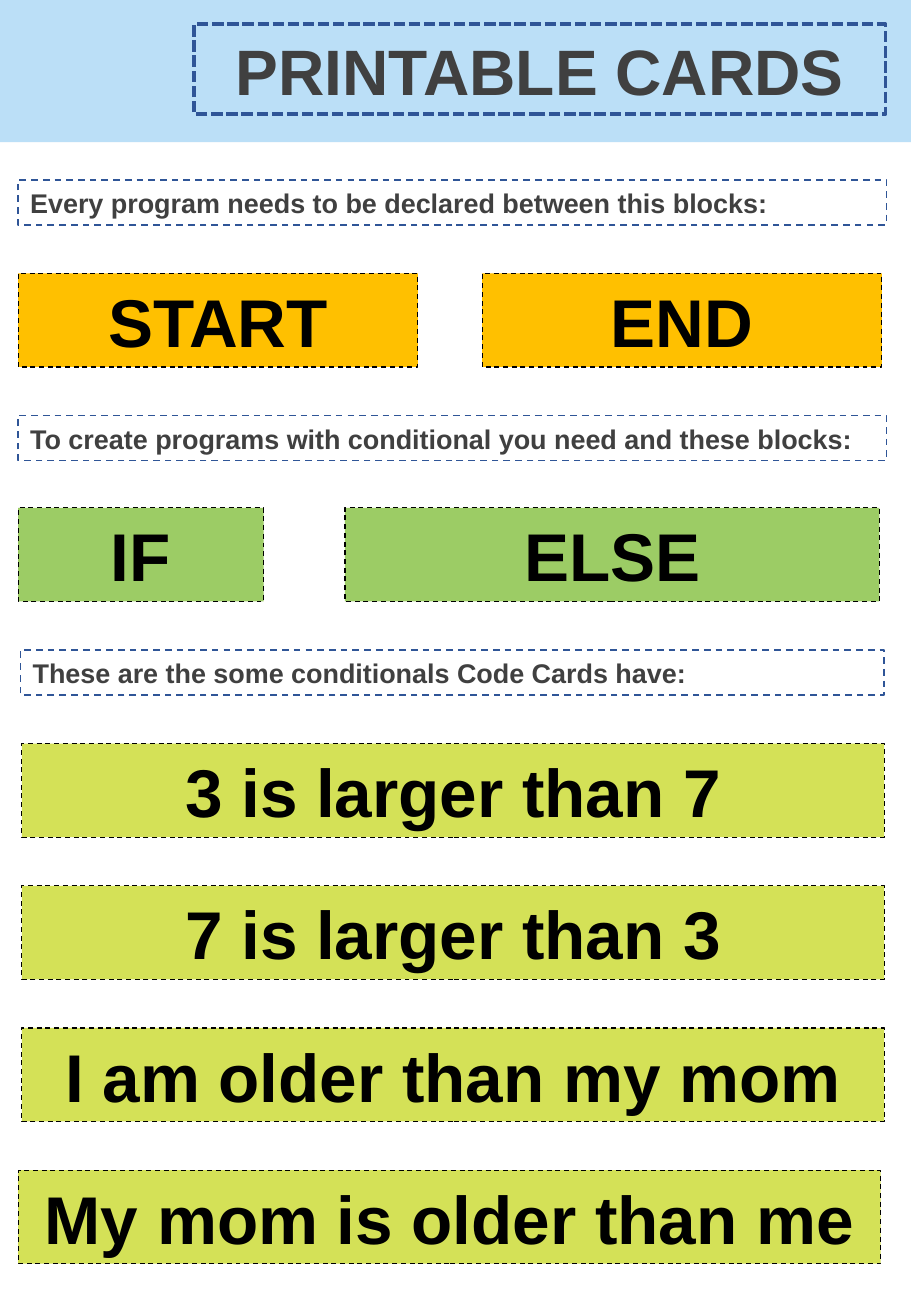
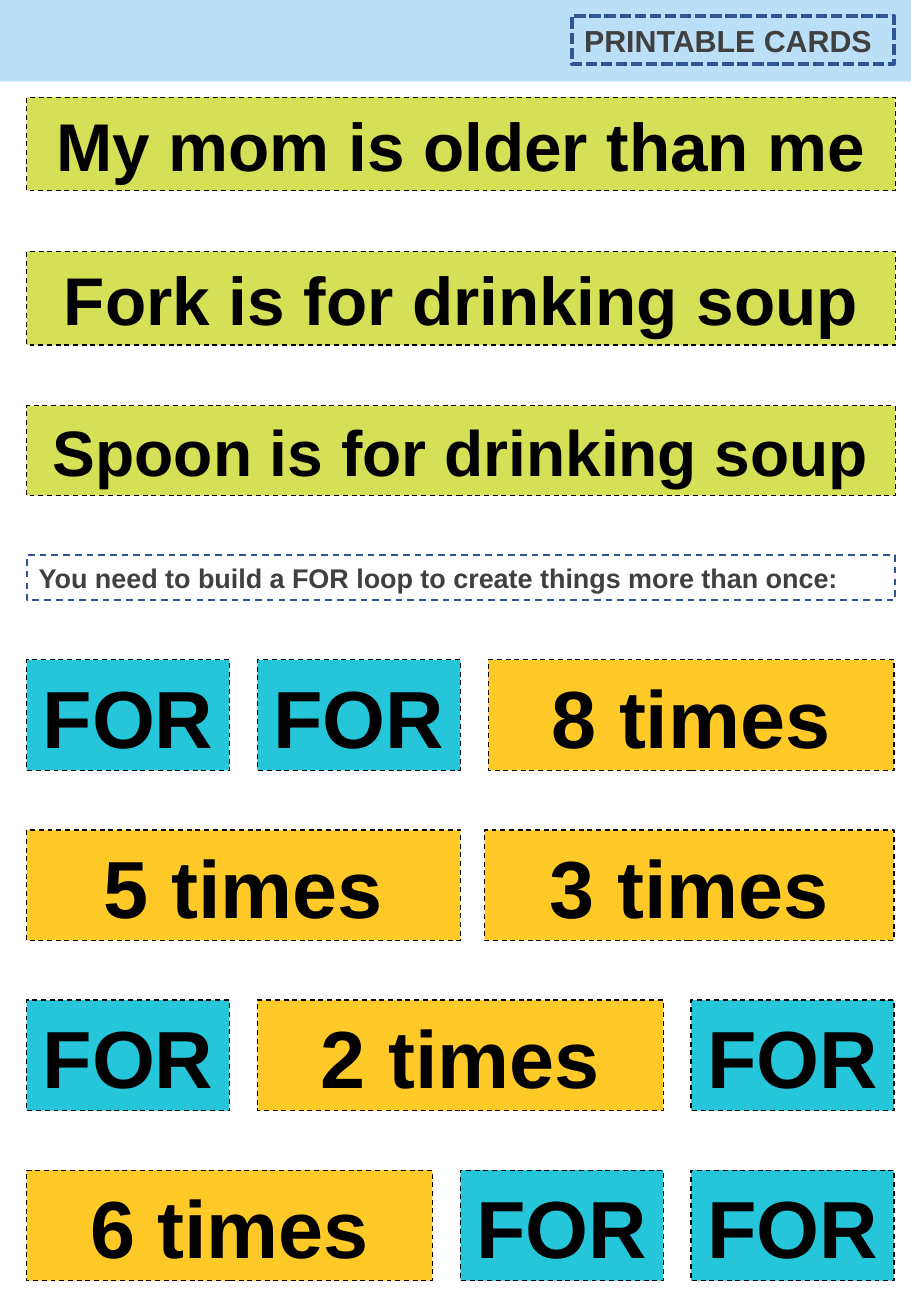
from lxml.etree import SubElement
from pptx import Presentation
from pptx.dml.color import RGBColor
from pptx.enum.dml import MSO_LINE
from pptx.enum.shapes import MSO_SHAPE
from pptx.enum.text import MSO_ANCHOR, PP_ALIGN
from pptx.oxml.ns import qn
from pptx.util import Inches, Pt

PAGE_WIDTH, PAGE_HEIGHT = 7.5, 10.83
FONT = "Arial"
SKY, NAVY, GRAY, BLACK = "91CBF3", "2F5597", "404040", "000000"
AMBER, GREEN, LIME, CYAN, YELLOW = "FFC000", "9CCC65", "D4E157", "26C6DA", "FFCA28"
CARD_HEIGHT, LOOP_HEIGHT, LABEL_HEIGHT = 0.77, 0.91, 0.37
FOR_CARD = ("FOR", 1.67, CYAN)


def paint(target, color):
    target.solid()
    target.fore_color.rgb = RGBColor.from_string(color)


def add_text(page, box, text, size=40, color=BLACK, fill=None, line=BLACK,
             weight=0.75, dash=MSO_LINE.DASH, align=PP_ALIGN.CENTER):
    shape = page.shapes.add_textbox(*map(Inches, box))
    if fill:
        paint(shape.fill, fill)
    paint(shape.line.fill, line)
    shape.line.width = Pt(weight)
    shape.line.dash_style = dash
    frame = shape.text_frame
    frame.word_wrap = True
    frame.vertical_anchor = MSO_ANCHOR.BOTTOM
    para = frame.paragraphs[0]
    para.alignment = align
    span = para.add_run()
    span.text = text
    span.font.name = FONT
    span.font.size = Pt(size)
    span.font.bold = True
    span.font.color.rgb = RGBColor.from_string(color)


def add_header(page, height, title_box, size, align):
    band = page.shapes.add_shape(MSO_SHAPE.RECTANGLE, 0, 0,
                                 Inches(PAGE_WIDTH), Inches(height))
    band.shadow.inherit = False
    paint(band.fill, SKY)
    band.line.fill.background()
    color = band.fill._xPr.find(qn("a:solidFill"))[0]
    SubElement(color, qn("a:alpha")).set("val", "61000")
    add_text(page, title_box, "PRINTABLE CARDS", size=size, color=GRAY, line=NAVY,
             weight=2.25, dash=MSO_LINE.SQUARE_DOT, align=align)


def add_label(page, left, top, width, text):
    add_text(page, (left, top, width, LABEL_HEIGHT), text, size=16, color=GRAY,
             line=NAVY, weight=1, align=PP_ALIGN.LEFT)


def add_row(page, box, cards, size=40):
    left, top, width, height = box
    used = sum(card_width for _, card_width, _ in cards)
    gap = (width - used) / max(len(cards) - 1, 1)
    for text, card_width, fill in cards:
        add_text(page, (left, top, card_width, height), text, size=size, fill=fill)
        left += card_width + gap


def times_card(count, width=3.34):
    return f"{count} times", width, YELLOW


def build_conditions(page):
    add_header(page, 1.17, (1.6, 0.2, 5.69, 0.74), 38, PP_ALIGN.CENTER)
    add_label(page, 0.15, 1.48, 7.15,
              "Every program needs to be declared between this blocks:")
    add_row(page, (0.15, 2.25, 7.11, CARD_HEIGHT),
            [("START", 3.29, AMBER), ("END", 3.29, AMBER)])
    add_label(page, 0.15, 3.42, 7.15,
              "To create programs with conditional you need and these blocks:")
    add_row(page, (0.15, 4.18, 7.09, CARD_HEIGHT),
            [("IF", 2.02, GREEN), ("ELSE", 4.4, GREEN)])
    add_label(page, 0.17, 5.35, 7.11,
              "These are the some conditionals Code Cards have:")
    conditions = [
        ("3 is larger than 7", 0.18),
        ("7 is larger than 3", 0.18),
        ("I am older than my mom", 0.18),
        ("My mom is older than me", 0.15),
    ]
    for index, (text, left) in enumerate(conditions):
        add_row(page, (left, 6.12 + 1.17 * index, 7.1, CARD_HEIGHT),
                [(text, 7.1, LIME)])


def build_loops(page):
    left, width = 0.22, 7.15
    add_header(page, 0.67, (4.71, 0.13, 2.65, 0.4), 18, PP_ALIGN.LEFT)
    conditions = [
        ("My mom is older than me", 40, CARD_HEIGHT),
        ("Fork is for drinking soup", 40, CARD_HEIGHT),
        ("Spoon is for drinking soup", 38, 0.74),
    ]
    for index, (text, size, height) in enumerate(conditions):
        add_row(page, (left, 0.8 + 1.27 * index, width, height),
                [(text, width, LIME)], size=size)
    add_label(page, left, 4.57, width,
              "You need to build a FOR loop to create things more than once:")
    rows = [
        [FOR_CARD, FOR_CARD, times_card(8)],
        [times_card(5, 3.57), times_card(3, 3.37)],
        [FOR_CARD, times_card(2), FOR_CARD],
        [times_card(6), FOR_CARD, FOR_CARD],
    ]
    for index, cards in enumerate(rows):
        add_row(page, (left, 5.43 + 1.4 * index, width - 0.01, LOOP_HEIGHT),
                cards, size=48)


def main():
    deck = Presentation()
    deck.slide_width, deck.slide_height = Inches(PAGE_WIDTH), Inches(PAGE_HEIGHT)
    for build in (build_conditions, build_loops):
        build(deck.slides.add_slide(deck.slide_layouts[6]))
    deck.save("out.pptx")


if __name__ == "__main__":
    main()
